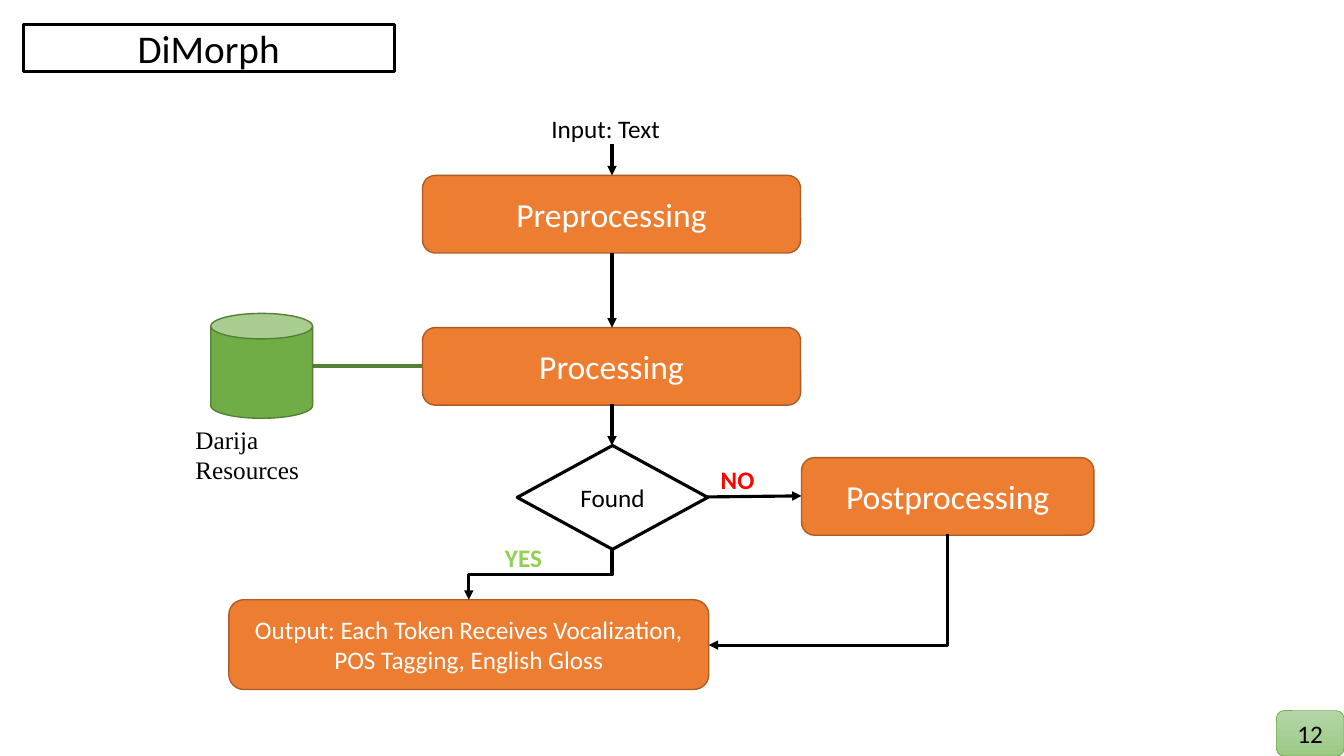
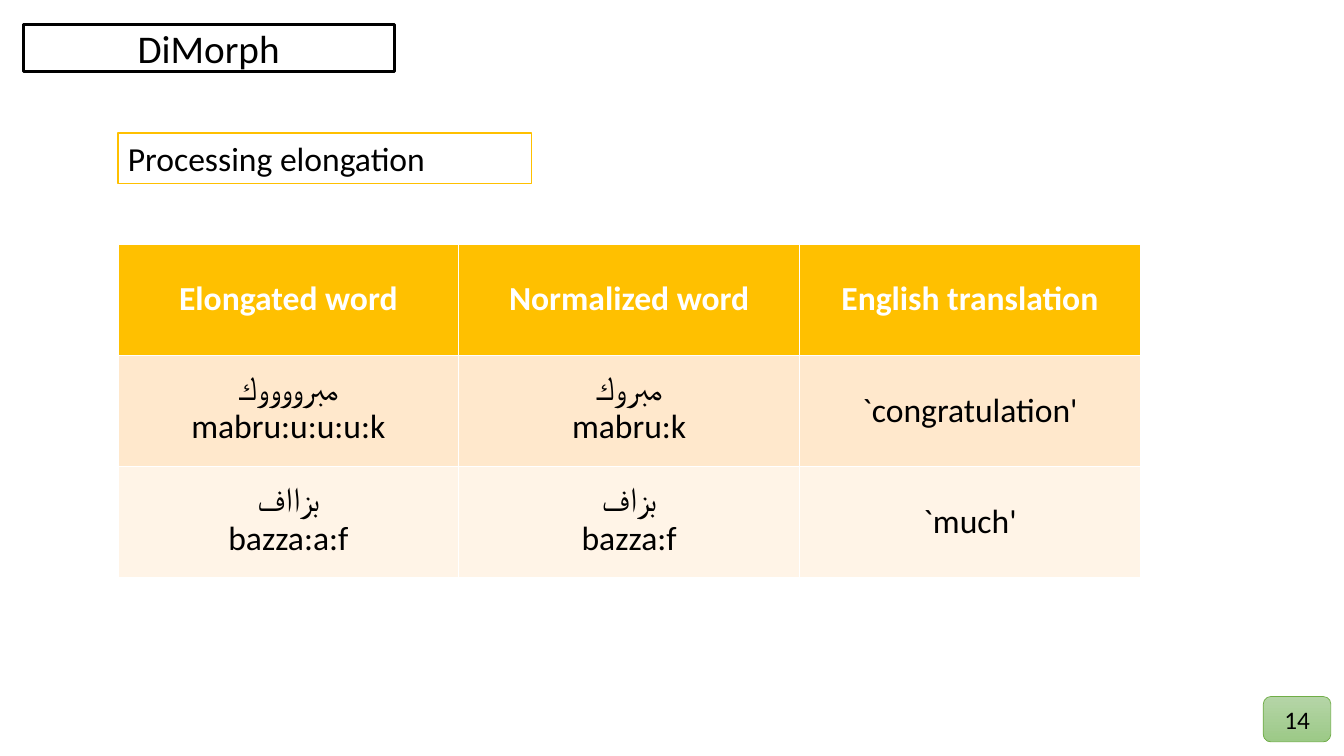
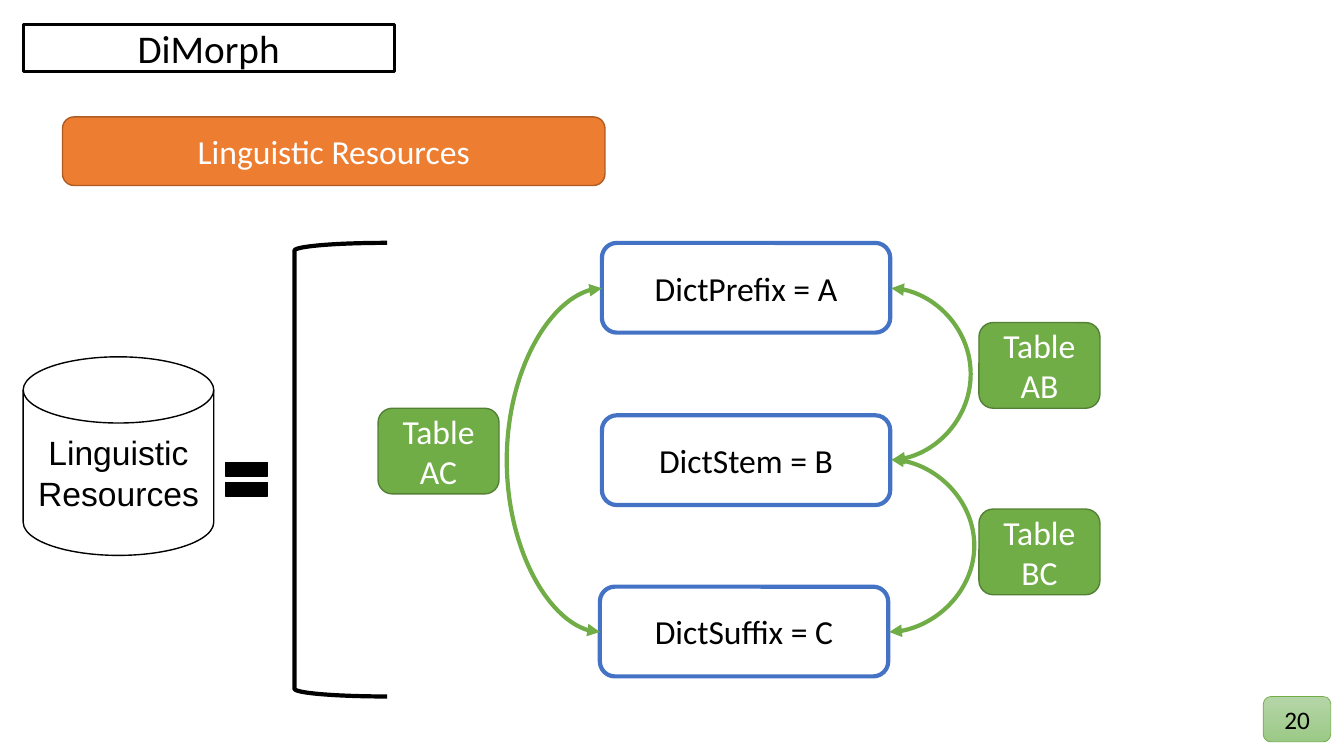
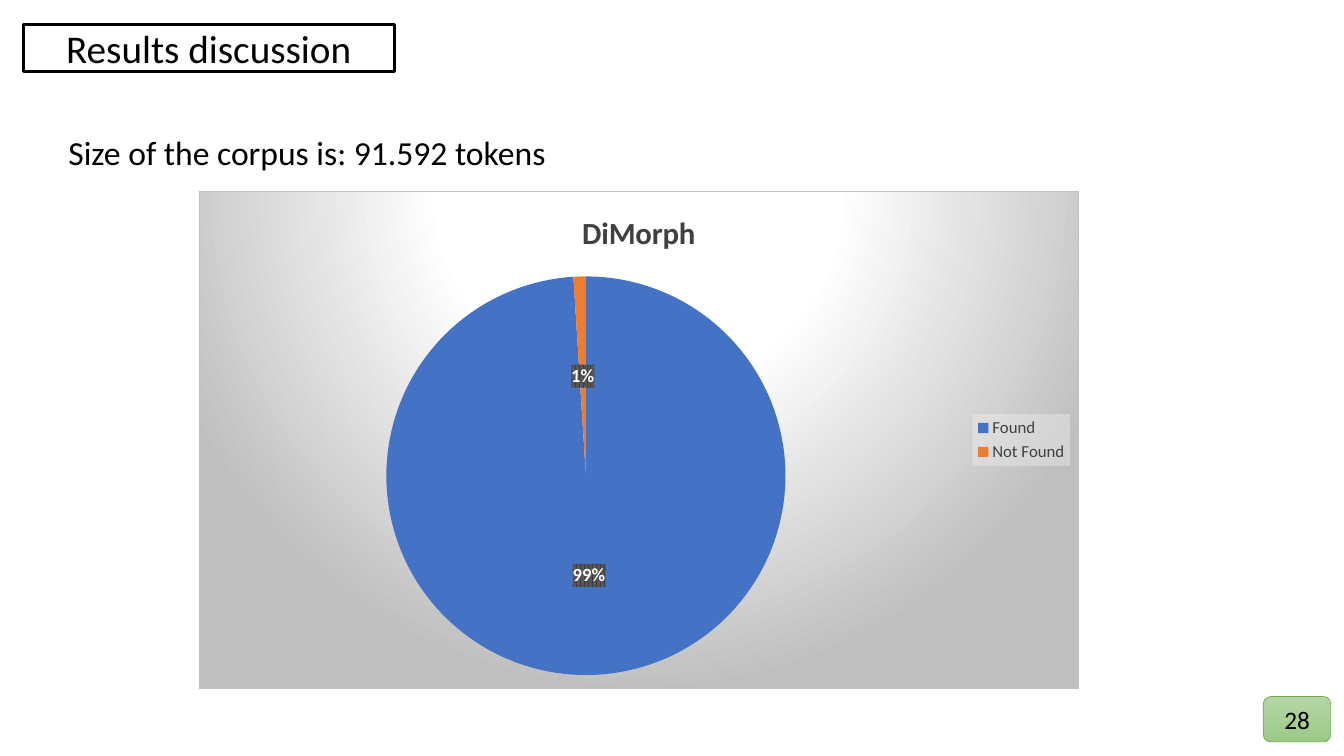
from lxml import etree
from pptx import Presentation
from pptx.chart.data import CategoryChartData
from pptx.dml.color import RGBColor
from pptx.enum.chart import XL_CHART_TYPE, XL_LABEL_POSITION, XL_LEGEND_POSITION
from pptx.enum.shapes import MSO_CONNECTOR, MSO_SHAPE
from pptx.enum.text import MSO_ANCHOR, MSO_AUTO_SIZE, PP_ALIGN
from pptx.oxml import parse_xml
from pptx.oxml.ns import nsdecls, qn
from pptx.util import Pt

PX = 9144
BLACK = RGBColor(0x00, 0x00, 0x00)
WHITE = RGBColor(0xFF, 0xFF, 0xFF)
ORANGE = RGBColor(0xED, 0x7D, 0x31)
BROWN = RGBColor(0xAF, 0x5C, 0x24)
GREEN = RGBColor(0x70, 0xAD, 0x47)
DARK_GREEN = RGBColor(0x53, 0x80, 0x35)
LIME = RGBColor(0x92, 0xD0, 0x50)
RED = RGBColor(0xFF, 0x00, 0x00)
BLUE = RGBColor(0x44, 0x72, 0xC4)
GOLD = RGBColor(0xFF, 0xC0, 0x00)
PEACH = RGBColor(0xFF, 0xE8, 0xCC)
CREAM = RGBColor(0xFF, 0xF4, 0xE7)
GREY = RGBColor(0x40, 0x40, 0x40)
BADGE_TOP = RGBColor(0xB5, 0xD5, 0xA7)
BADGE_BOTTOM = RGBColor(0x9C, 0xC9, 0x87)

STEP = {"fill": ORANGE, "line": BROWN}
RESOURCE = {"fill": GREEN, "line": DARK_GREEN}
DICTIONARY = {"line": BLUE, "weight": 3, "color": BLACK}
OUTLINE = {"line": BLACK, "color": BLACK}

CHART_BACKGROUND = f"""<c:spPr {nsdecls("c", "a")}>
<a:gradFill><a:gsLst>
<a:gs pos="0"><a:srgbClr val="FFFFFF"/></a:gs>
<a:gs pos="39000"><a:srgbClr val="FFFFFF"/></a:gs>
<a:gs pos="100000"><a:srgbClr val="BFBFBF"/></a:gs>
</a:gsLst><a:path path="circle">
<a:fillToRect l="50000" t="-80000" r="50000" b="180000"/></a:path></a:gradFill>
<a:ln w="9525"><a:solidFill><a:srgbClr val="BFBFBF"/></a:solidFill></a:ln></c:spPr>"""
LABEL_BACKGROUND = f"""<c:spPr {nsdecls("c", "a")}><a:pattFill prst="pct75">
<a:fgClr><a:srgbClr val="404040"/></a:fgClr>
<a:bgClr><a:srgbClr val="595959"/></a:bgClr></a:pattFill></c:spPr>"""
LEGEND_BACKGROUND = f"""<c:spPr {nsdecls("c", "a")}><a:solidFill>
<a:srgbClr val="F2F2F2"><a:alpha val="39000"/></a:srgbClr></a:solidFill></c:spPr>"""


def apply(target, values):
    for name, value in values.items():
        setattr(target, name, value)


def set_font(font, size, color, bold=False, face="Calibri"):
    apply(font, {"name": face, "size": Pt(size), "bold": bold})
    font.color.rgb = color


class Deck:
    """Holds the shared style and the slide being drawn."""

    def __init__(self):
        self.prs = Presentation()
        apply(self.prs, {"slide_width": 1333 * PX, "slide_height": 750 * PX})
        self.slide = None

    def put_text(self, frame, text, size, color, bold=False, face="Calibri",
                 align=PP_ALIGN.CENTER, anchor=MSO_ANCHOR.MIDDLE):
        apply(frame, {"word_wrap": True, "auto_size": MSO_AUTO_SIZE.NONE,
                      "vertical_anchor": anchor, "text": text})
        for paragraph in frame.paragraphs:
            paragraph.alignment = align
            for run in paragraph.runs:
                set_font(run.font, size, color, bold, face)

    def paint(self, shape, fill, line, weight):
        if fill is None:
            shape.fill.background()
        else:
            shape.fill.solid()
            shape.fill.fore_color.rgb = fill
        shape.line.color.rgb = line
        shape.line.width = Pt(weight)

    def start(self, title, number, badge_at=(1253, 691)):
        self.slide = self.prs.slides.add_slide(self.prs.slide_layouts[5])
        heading = self.slide.shapes.title
        apply(heading, {"left": 23 * PX, "top": 24 * PX,
                        "width": 368 * PX, "height": 47 * PX})
        outline = etree.SubElement(heading.element.spPr, qn("a:prstGeom"), prst="roundRect")
        etree.SubElement(outline, qn("a:avLst"))
        self.paint(heading, WHITE, BLACK, 2.25)
        self.put_text(heading.text_frame, title, 28, BLACK)
        badge = self.shape(MSO_SHAPE.ROUNDED_RECTANGLE, (*badge_at, 67, 45), number,
                           size=18, color=BLACK, line=GREEN, weight=0.5)
        badge.fill.gradient()
        badge.fill.gradient_angle = 270
        for stop, color in zip(badge.fill.gradient_stops, (BADGE_TOP, BADGE_BOTTOM)):
            stop.color.rgb = color

    def shape(self, kind, box, text="", fill=WHITE, line=BLACK, weight=1,
              size=24, color=WHITE, **text_style):
        shape = self.slide.shapes.add_shape(kind, *(PX * n for n in box))
        shape.shadow.inherit = False
        self.paint(shape, fill, line, weight)
        if text:
            self.put_text(shape.text_frame, text, size, color, **text_style)
        return shape

    def rounded(self, box, text, **style):
        return self.shape(MSO_SHAPE.ROUNDED_RECTANGLE, box, text, **style)

    def label(self, box, text, size=18, color=BLACK, **style):
        frame = self.slide.shapes.add_textbox(*(PX * n for n in box)).text_frame
        self.put_text(frame, text, size, color, align=PP_ALIGN.LEFT,
                      anchor=MSO_ANCHOR.TOP, **style)

    def connect(self, begin, end, color=BLACK, weight=2.25, ends=("tailEnd",),
                kind=MSO_CONNECTOR.STRAIGHT):
        link = self.slide.shapes.add_connector(
            kind, *(round(PX * n) for n in (*begin, *end)))
        link.line.color.rgb = color
        link.line.width = Pt(weight)
        properties = link._element.spPr
        for tip in ends:
            etree.SubElement(properties.find(qn("a:ln")), qn(f"a:{tip}"), type="triangle")
        etree.SubElement(properties, qn("a:effectLst"))
        return link, properties.find(qn("a:prstGeom"))

    def bend(self, begin, end, preset):
        (x1, y1), (x2, y2) = begin, end
        middle_x, middle_y = (x1 + x2) / 2, (y1 + y2) / 2
        half_run, half_drop = (x1 - x2) / 2, (y2 - y1) / 2
        link, geometry = self.connect((middle_x - half_drop, middle_y - half_run),
                                      (middle_x + half_drop, middle_y + half_run),
                                      kind=MSO_CONNECTOR.ELBOW)
        link.rotation = 90
        geometry.set("prst", preset)

    def curve(self, begin, end, bulge_x):
        geometry = self.connect(begin, end, GREEN, 3, ("headEnd", "tailEnd"),
                                MSO_CONNECTOR.CURVE)[1]
        bulge = round(100000 * (bulge_x - begin[0]) / (end[0] - begin[0]))
        guides = geometry.find(qn("a:avLst"))
        if guides is None:
            guides = etree.SubElement(geometry, qn("a:avLst"))
        etree.SubElement(guides, qn("a:gd"), name="adj1", fmla=f"val {bulge}")

    def table(self, box, rows, fills):
        grid = self.slide.shapes.add_table(len(rows), len(rows[0]),
                                           *(PX * n for n in box)).table
        for i, (texts, fill) in enumerate(zip(rows, fills)):
            for j, text in enumerate(texts):
                cell = grid.cell(i, j)
                cell.fill.solid()
                cell.fill.fore_color.rgb = fill
                cell.vertical_anchor = MSO_ANCHOR.MIDDLE
                cell.text = text
                for paragraph in cell.text_frame.paragraphs:
                    paragraph.alignment = PP_ALIGN.CENTER
                    for run in paragraph.runs:
                        set_font(run.font, 24, BLACK if i else WHITE, bold=not i)

    def pie(self, box, title, shares, colors):
        data = CategoryChartData()
        data.categories = list(shares)
        data.add_series(title, list(shares.values()))
        chart = self.slide.shapes.add_chart(XL_CHART_TYPE.PIE, *(PX * n for n in box),
                                            data).chart
        set_font(chart.font, 10, BLACK)
        chart._chartSpace.find(qn("c:txPr")).addprevious(parse_xml(CHART_BACKGROUND))
        chart.has_title = True
        heading = chart.chart_title.text_frame
        heading.text = title
        set_font(heading.paragraphs[0].runs[0].font, 22, GREY, True)
        chart.has_legend = True
        apply(chart.legend, {"position": XL_LEGEND_POSITION.RIGHT,
                             "include_in_layout": False})
        set_font(chart.legend.font, 12, GREY)
        chart.legend._element.find(qn("c:txPr")).addprevious(parse_xml(LEGEND_BACKGROUND))
        plot = chart.plots[0]
        apply(plot, {"vary_by_categories": True, "has_data_labels": True})
        labels = plot.data_labels
        apply(labels, {"show_percentage": True, "show_value": False,
                       "number_format": "0%", "number_format_is_linked": False,
                       "position": XL_LABEL_POSITION.CENTER})
        set_font(labels.font, 13.3, WHITE, True)
        labels._element.find(qn("c:txPr")).addprevious(parse_xml(LABEL_BACKGROUND))
        for i, color in enumerate(colors):
            wedge = plot.series[0].points[i].format.fill
            wedge.solid()
            wedge.fore_color.rgb = color


def draw_pipeline(deck):
    deck.start("DiMorph", "12", badge_at=(1266, 705))
    deck.label((537, 108, 139, 36), "Input: Text")
    for box, text, size in (((419, 174, 375, 77), "Preprocessing", 24),
                            ((419, 325, 375, 77), "Processing", 24),
                            ((795, 454, 290, 77), "Postprocessing", 24),
                            ((227, 595, 476, 89), "Output: Each Token Receives "
                             "Vocalization, POS Tagging, English Gloss", 18)):
        deck.rounded(box, text, size=size, **STEP)
    deck.shape(MSO_SHAPE.DIAMOND, (513, 442, 189, 103), "Found",
               size=18, weight=2.25, **OUTLINE)
    deck.shape(MSO_SHAPE.CAN, (209, 311, 101, 104), **RESOURCE)
    deck.label((184, 416, 140, 66), "Darija Resources", face="Times New Roman")
    for top, bottom in ((143, 174), (251, 325), (401, 442)):
        deck.connect((607, top), (607, bottom))
    deck.connect((701, 493), (795, 492))
    deck.connect((419, 363), (310, 363), DARK_GREEN, 3, ends=())
    deck.bend((607, 545), (465, 595), "bentConnector3")
    deck.bend((940, 530), (703, 640), "bentConnector2")
    deck.label((491, 533, 71, 36), "YES", color=LIME, bold=True)
    deck.label((705, 456, 71, 36), "NO", color=RED, bold=True)


def draw_elongation(deck):
    deck.start("DiMorph", "14")
    deck.shape(MSO_SHAPE.RECTANGLE, (117, 132, 410, 50), "Processing elongation",
               line=GOLD, color=BLACK, align=PP_ALIGN.LEFT)
    deck.table((117, 242, 1014, 331),
               (("Elongated word", "Normalized word", "English translation"),
                ("مبرووووك\nmabru:u:u:u:k", "مبروك\nmabru:k", "`congratulation'"),
                ("بزااف\nbazza:a:f", "بزاف\nbazza:f", "`much'")),
               (GOLD, PEACH, CREAM))


def draw_resources(deck):
    deck.start("DiMorph", "20")
    deck.rounded((62, 116, 538, 68), "Linguistic Resources", **STEP)
    deck.shape(MSO_SHAPE.FLOWCHART_MAGNETIC_DISK, (23, 354, 189, 197),
               "Linguistic\nResources", face="Arial", **OUTLINE)
    deck.shape(MSO_SHAPE.MATH_EQUAL, (216, 447, 57, 57), fill=BLACK)
    deck.shape(MSO_SHAPE.LEFT_BRACKET, (292, 241, 92, 450), fill=None, weight=3)
    for left, top, text in ((597, 241, "DictPrefix = A"), (597, 412, "DictStem = B"),
                            (595, 582, "DictSuffix = C")):
        deck.rounded((left, top, 286, 89), text, **DICTIONARY)
    deck.curve((884, 286), (885, 456), 964)
    deck.curve((884, 456), (882, 627), 966)
    deck.curve((597, 286), (595, 627), 503)
    for left, top, text in ((375, 405, "Table AC"), (971, 320, "Table AB"),
                            (971, 505, "Table BC")):
        deck.rounded((left, top, 120, 85), text, **RESOURCE)


def draw_results(deck):
    deck.start("Results discussion", "28")
    deck.label((58, 126, 576, 50), "Size of the corpus is: 91.592 tokens", size=24)
    deck.pie((197, 189, 873, 495), "DiMorph", {"Found": 99, "Not Found": 1},
             (BLUE, ORANGE))


def main():
    deck = Deck()
    for draw in (draw_pipeline, draw_elongation, draw_resources, draw_results):
        draw(deck)
    deck.prs.save("out.pptx")


if __name__ == "__main__":
    main()
